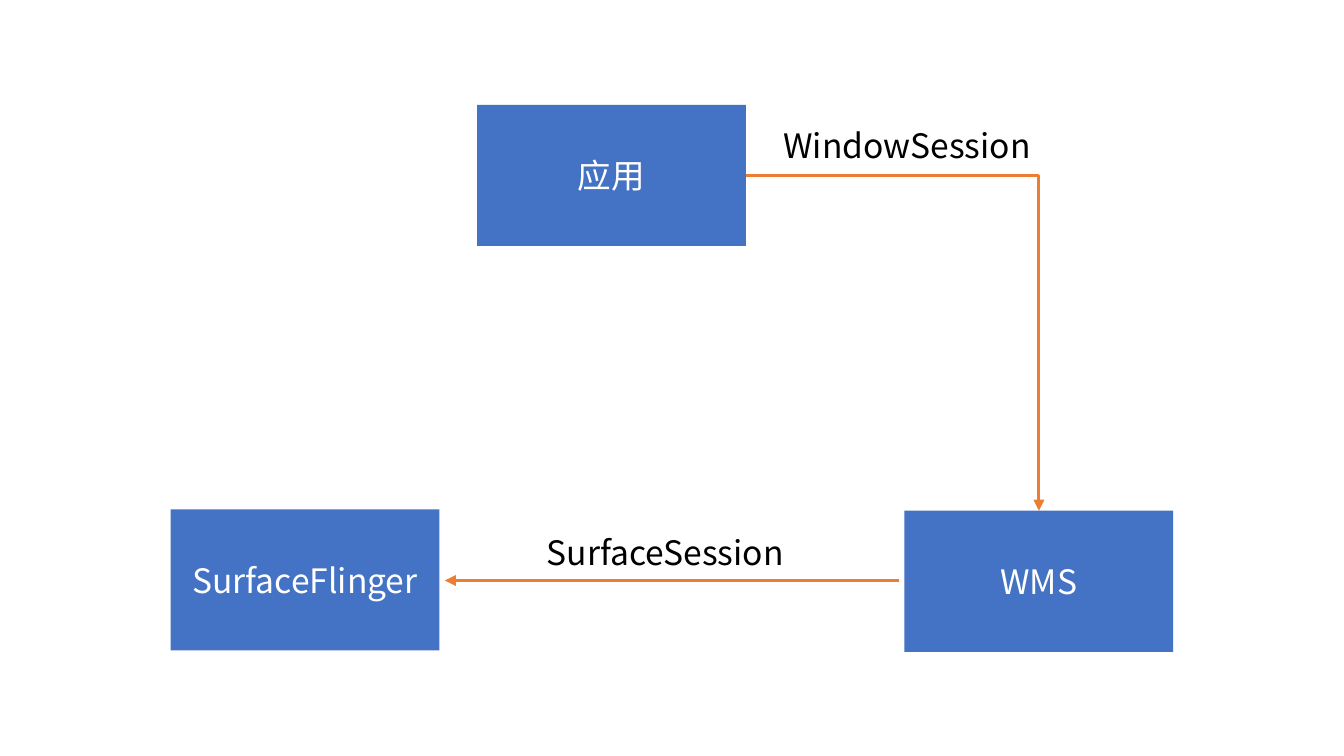
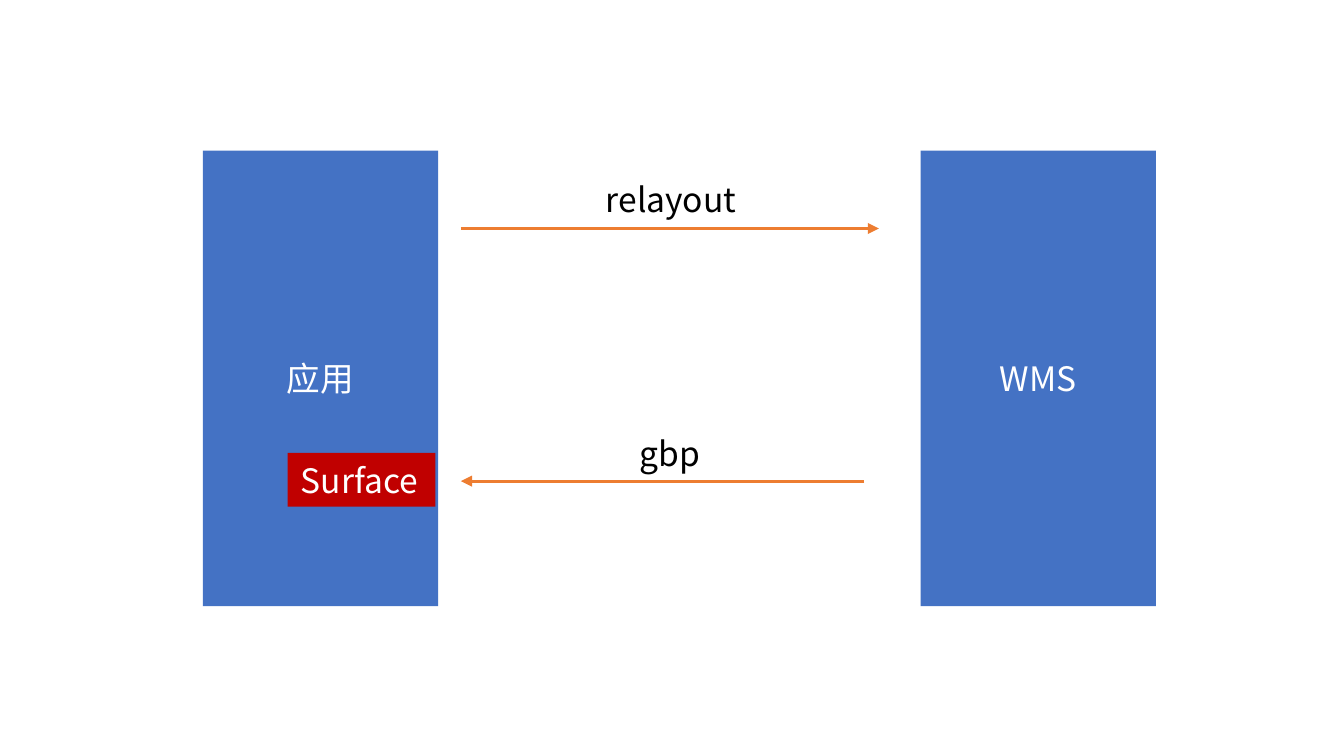
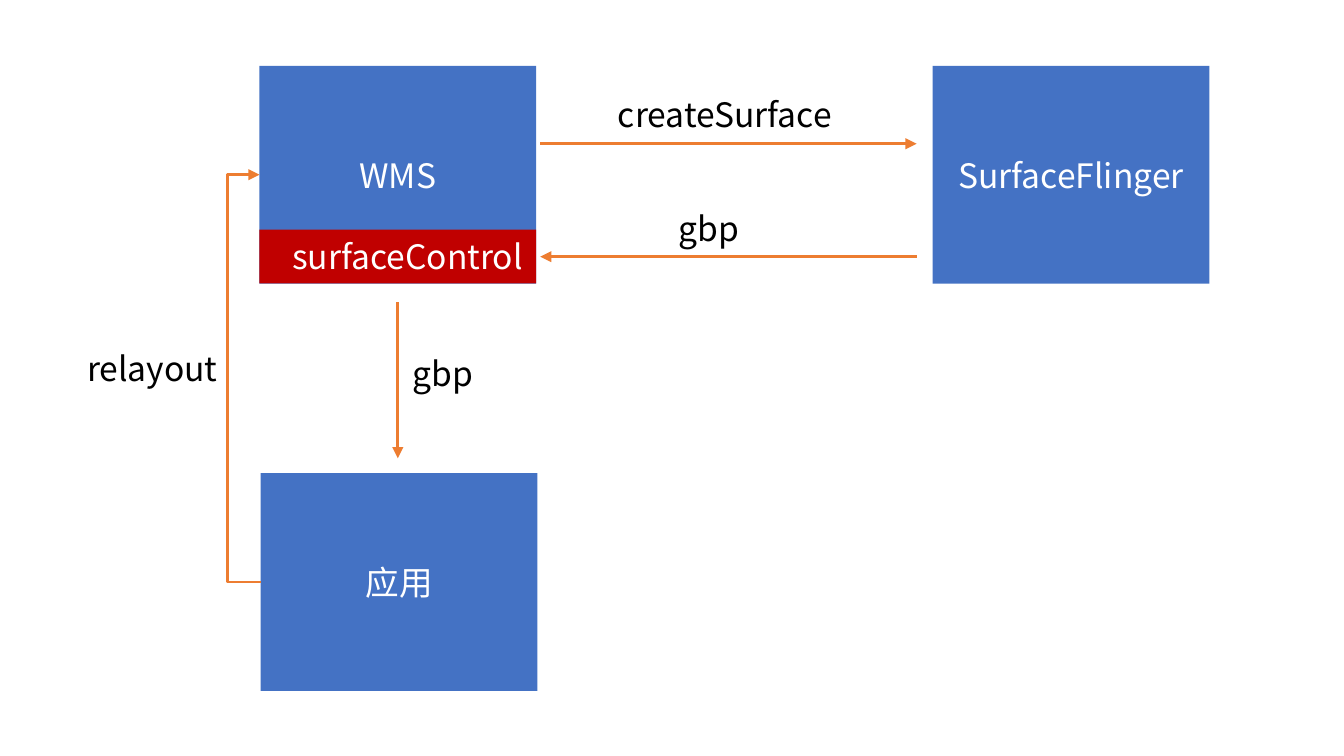
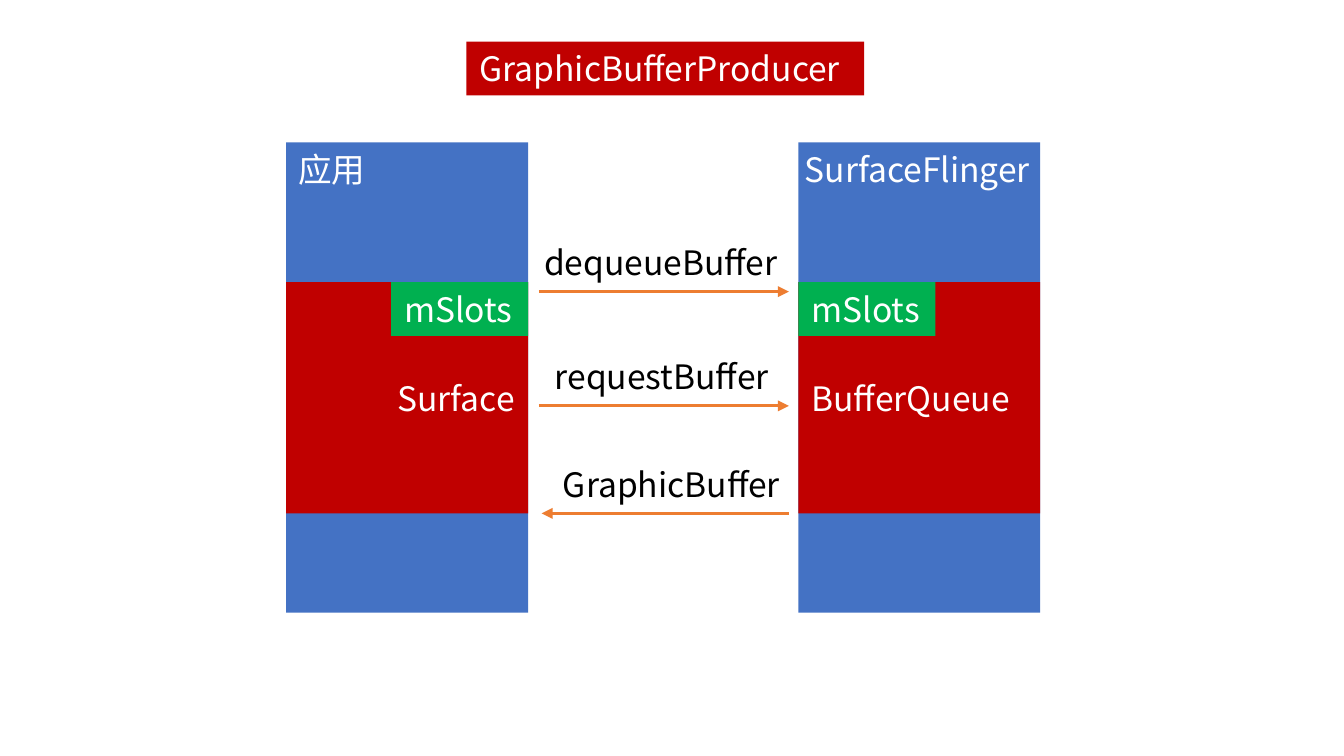
from lxml.etree import SubElement
from pptx import Presentation
from pptx.dml.color import RGBColor
from pptx.enum.shapes import MSO_CONNECTOR, MSO_SHAPE
from pptx.enum.text import MSO_ANCHOR, MSO_AUTO_SIZE, PP_ALIGN
from pptx.oxml.ns import qn
from pptx.util import Inches, Pt

BLUE = RGBColor(0x44, 0x72, 0xC4)
RED = RGBColor(0xC0, 0x00, 0x00)
GREEN = RGBColor(0x00, 0xB0, 0x50)
ORANGE = RGBColor(0xED, 0x7D, 0x31)
WHITE = RGBColor(0xFF, 0xFF, 0xFF)
BLACK = RGBColor(0x00, 0x00, 0x00)
FONT = "Noto Sans CJK SC"
LEFT, CENTER, RIGHT = PP_ALIGN.LEFT, PP_ALIGN.CENTER, PP_ALIGN.RIGHT
TOP_SITE, LEFT_SITE, RIGHT_SITE = 0, 1, 3  # connection sites of a rectangle
LINE_HEIGHT = 0.4  # height of a one-line label or tag

# Left edges of the two columns on the buffer page, and their common width
APP_X, FLINGER_X, COLUMN_W = 2.13, 5.94, 1.8
SLOTS_W = 1.02

# panels: key, text, left, top, width, height, fill, alignment
# labels: text, left, top, width, text colour
# tags:   text, left, top, width, fill, alignment, wrap
# arrows: start x, start y, end x, end y
# elbows: start panel, site, end panel, site, preset, bend (share of width)
PAGES = [
    {
        "panels": [
            ("app", "应用", 3.55, 0.78, 2, 1.05, BLUE, CENTER),
            ("wms", "WMS", 6.73, 3.8, 2, 1.05, BLUE, CENTER),
            ("flinger", "SurfaceFlinger", 1.27, 3.79, 2, 1.05, BLUE, CENTER),
        ],
        "labels": [
            ("WindowSession", 5.73, 0.88, 2.11, BLACK),
            ("SurfaceSession", 3.97, 3.91, 2.01, BLACK),
        ],
        "arrows": [(6.69, 4.32, 3.31, 4.32)],
        "elbows": [("app", RIGHT_SITE, "wms", TOP_SITE, "bentConnector2", None)],
    },
    {
        "panels": [
            ("app", "应用", 1.51, 1.12, 1.75, 3.39, BLUE, CENTER),
            ("wms", "WMS", 6.85, 1.12, 1.75, 3.39, BLUE, CENTER),
        ],
        "labels": [
            ("relayout", 4.41, 1.28, 1.19, BLACK),
            ("gbp", 4.66, 3.17, 0.69, BLACK),
        ],
        "tags": [("Surface", 2.14, 3.37, 1.1, RED, LEFT, False)],
        "arrows": [(3.43, 1.7, 6.54, 1.7), (6.43, 3.58, 3.43, 3.58)],
    },
    {
        "panels": [
            ("wms", "WMS", 1.93, 0.49, 2.06, 1.62, BLUE, CENTER),
            ("flinger", "SurfaceFlinger", 6.94, 0.49, 2.06, 1.62, BLUE, CENTER),
            ("app", "应用", 1.94, 3.52, 2.06, 1.62, BLUE, CENTER),
        ],
        "labels": [
            ("createSurface", 4.5, 0.65, 1.84, BLACK),
            ("gbp", 4.95, 1.5, 0.69, BLACK),
            ("relayout", 0.55, 2.54, 1.19, BLACK),
            ("gbp", 2.97, 2.58, 0.69, BLACK),
        ],
        "tags": [("surfaceControl", 1.93, 1.71, 2.06, RED, RIGHT, True)],
        "arrows": [
            (4.02, 1.07, 6.82, 1.07),
            (6.82, 1.91, 4.02, 1.91),
            (2.96, 2.25, 2.96, 3.41),
        ],
        "elbows": [("app", LEFT_SITE, "wms", LEFT_SITE, "bentConnector3", 25)],
    },
    {
        "panels": [
            ("app", "", APP_X, 1.06, COLUMN_W, 3.5, BLUE, CENTER),
            ("flinger", "", FLINGER_X, 1.06, COLUMN_W, 3.5, BLUE, CENTER),
            ("queue", "BufferQueue", FLINGER_X, 2.1, COLUMN_W, 1.72, RED, LEFT),
            ("surface", "Surface", APP_X, 2.1, COLUMN_W, 1.72, RED, RIGHT),
        ],
        "labels": [
            ("SurfaceFlinger", 5.89, 1.06, 1.93, WHITE),
            ("应用", 2.12, 1.06, 0.71, WHITE),
            ("dequeueBuffer", 3.95, 1.75, 2, BLACK),
            ("requestBuffer", 4.03, 2.6, 1.84, BLACK),
            ("GraphicBuffer", 4.09, 3.4, 1.87, BLACK),
        ],
        "tags": [
            ("GraphicBufferProducer", 3.47, 0.31, 2.96, RED, LEFT, False),
            ("mSlots", FLINGER_X, 2.1, SLOTS_W, GREEN, LEFT, False),
            ("mSlots", APP_X + COLUMN_W - SLOTS_W, 2.1, SLOTS_W, GREEN, LEFT, False),
        ],
        "arrows": [
            (4.01, 2.17, 5.87, 2.17),
            (4.01, 3.02, 5.87, 3.02),
            (5.87, 3.82, 4.03, 3.82),
        ],
    },
]


def write(box, text, color, align, anchor, wrap, fit):
    """Put one styled line of text into a box."""
    frame = box.text_frame
    frame.word_wrap = wrap
    frame.vertical_anchor = anchor
    frame.auto_size = MSO_AUTO_SIZE.SHAPE_TO_FIT_TEXT if fit else MSO_AUTO_SIZE.NONE
    para = frame.paragraphs[0]
    para.alignment = align
    span = para.add_run()
    span.text = text
    span.font.size = Pt(18)
    span.font.color.rgb = color
    span.font.name = FONT
    SubElement(span.font._element, qn("a:ea")).set("typeface", FONT)


def add_block(page, left, top, width, height, fill):
    """Add a flat rectangle without outline."""
    box = page.shapes.add_shape(
        MSO_SHAPE.RECTANGLE, Inches(left), Inches(top), Inches(width), Inches(height))
    box.shadow.inherit = False
    box.fill.solid()
    box.fill.fore_color.rgb = fill
    box.line.fill.background()
    return box


def add_panel(page, text, left, top, width, height, fill, align):
    """Add a component block with its name at mid height."""
    box = add_block(page, left, top, width, height, fill)
    if text:
        write(box, text, WHITE, align, MSO_ANCHOR.MIDDLE, True, False)
    return box


def add_tag(page, text, left, top, width, fill, align, wrap):
    """Add a coloured one-line tag."""
    box = add_block(page, left, top, width, LINE_HEIGHT, fill)
    write(box, text, WHITE, align, MSO_ANCHOR.TOP, wrap, True)


def add_label(page, text, left, top, width, color):
    """Add a one-line text box."""
    box = page.shapes.add_textbox(
        Inches(left), Inches(top), Inches(width), Inches(LINE_HEIGHT))
    write(box, text, color, LEFT, MSO_ANCHOR.TOP, False, True)


def add_arrow(page, kind, start_x=0, start_y=0, end_x=0, end_y=0):
    """Add an orange connector with an arrowhead at its end."""
    arrow = page.shapes.add_connector(
        kind, Inches(start_x), Inches(start_y), Inches(end_x), Inches(end_y))
    arrow.line.color.rgb = ORANGE
    arrow.line.width = Pt(1.5)
    SubElement(arrow.line._get_or_add_ln(), qn("a:tailEnd")).set("type", "triangle")
    SubElement(arrow._element.spPr, qn("a:effectLst"))
    return arrow


def add_elbow(page, start, start_site, end, end_site, preset, bend):
    """Join two panels with a bent arrow."""
    arrow = add_arrow(page, MSO_CONNECTOR.ELBOW)
    arrow.begin_connect(start, start_site)
    arrow.end_connect(end, end_site)
    properties = arrow._element.spPr
    geometry = properties.find(qn("a:prstGeom"))
    geometry.set("prst", preset)
    if bend is not None:
        guide = SubElement(geometry.find(qn("a:avLst")), qn("a:gd"))
        guide.set("name", "adj1")
        guide.set("fmla", f"val {bend * 100000}")
    frame = properties.find(qn("a:xfrm"))
    if frame.get("flipH") and frame.get("flipV"):  # same as a half turn
        del frame.attrib["flipH"], frame.attrib["flipV"]
        frame.set("rot", str(180 * 60000))


def add_page(deck, content):
    """Build one diagram page from its lists."""
    page = deck.slides.add_slide(deck.slide_layouts[6])
    panels = {key: add_panel(page, *rest) for key, *rest in content["panels"]}
    for label in content["labels"]:
        add_label(page, *label)
    for tag in content.get("tags", []):
        add_tag(page, *tag)
    for ends in content["arrows"]:
        add_arrow(page, MSO_CONNECTOR.STRAIGHT, *ends)
    for start, start_site, end, end_site, preset, bend in content.get("elbows", []):
        add_elbow(page, panels[start], start_site, panels[end], end_site, preset, bend)


deck = Presentation()
deck.slide_width = Inches(10)
deck.slide_height = Inches(10 * 9 / 16)  # 16:9
for content in PAGES:
    add_page(deck, content)
deck.save("out.pptx")
